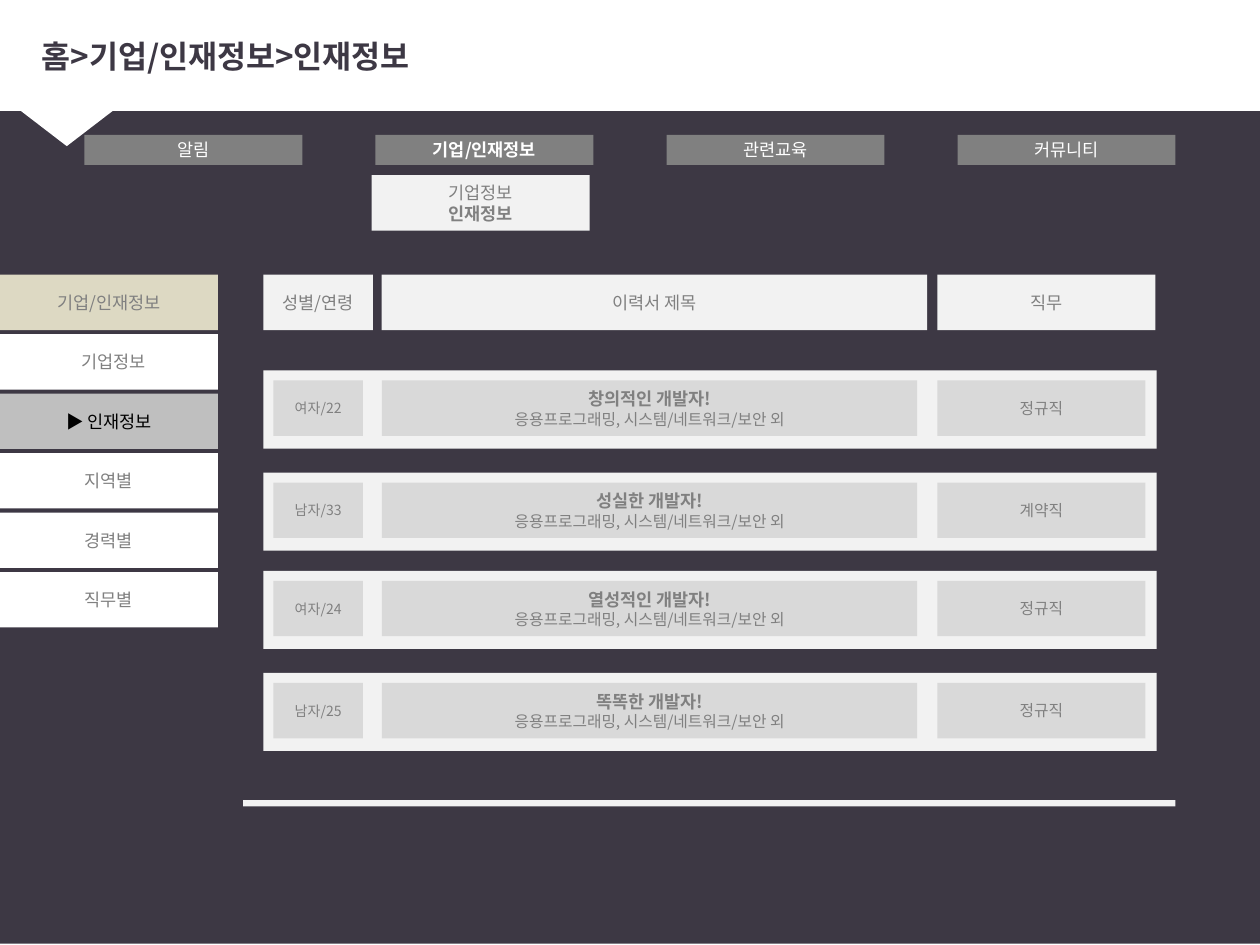
from lxml.etree import SubElement
from pptx import Presentation
from pptx.dml.color import RGBColor
from pptx.enum.shapes import MSO_SHAPE as SHAPE
from pptx.enum.text import MSO_ANCHOR as ANCHOR, PP_ALIGN as ALIGN
from pptx.oxml.ns import qn
from pptx.util import Inches, Pt

FONT = "Noto Sans CJK KR"
DARK = RGBColor(0x3D, 0x38, 0x44)
WHITE = RGBColor(0xFF, 0xFF, 0xFF)
BLACK = RGBColor(0, 0, 0)
GRAY = RGBColor(0x80, 0x80, 0x80)
MID = RGBColor(0xBF, 0xBF, 0xBF)
LIGHT = RGBColor(0xD9, 0xD9, 0xD9)
PALE = RGBColor(0xF2, 0xF2, 0xF2)
BEIGE = RGBColor(0xDD, 0xD9, 0xC3)

BREADCRUMB = "홈>기업/인재정보>인재정보"
TABS = [("알림", False), ("기업/인재정보", True), ("관련교육", False), ("커뮤니티", False)]
SUBMENU = [("기업정보", 10, False), ("인재정보", 10, True)]
SIDE_MENU = [
    ("기업/인재정보", BEIGE, GRAY, 0.1),
    ("기업정보", WHITE, GRAY, 0.17),
    ("▶ 인재정보", MID, BLACK, 0.1),
    ("지역별", WHITE, GRAY, 0.1),
    ("경력별", WHITE, GRAY, 0.1),
    ("직무별", WHITE, GRAY, 0.1),
]
COLUMNS = [
    ("성별/연령", 2.09, 0.87),
    ("이력서 제목", 3.03, 4.33),
    ("직무", 7.44, 1.73),
]
FIELDS = "응용프로그래밍, 시스템/네트워크/보안 외"
RESUMES = [
    (2.94, "여자/22", "창의적인 개발자!", "정규직"),
    (3.75, "남자/33", "성실한 개발자!", "계약직"),
    (4.53, "여자/24", "열성적인 개발자!", "정규직"),
    (5.34, "남자/25", "똑똑한 개발자!", "정규직"),
]
MENU_WIDTH, BOX_HEIGHT = 1.73, 0.44
TAB_STEP, MENU_STEP = 2.31, 0.472
MENU_TOP, CARD_PAD = 2.18, 0.08


def write(frame, lines, color=GRAY, align=ALIGN.CENTER, inset=0.1):
    frame.word_wrap = True
    frame.vertical_anchor = ANCHOR.MIDDLE
    frame.margin_left = Inches(inset)
    for index, (text, size, bold) in enumerate(lines):
        line = frame.add_paragraph() if index else frame.paragraphs[0]
        line.alignment = align
        run = line.add_run()
        run.text = text
        run.font.name = FONT
        run.font.size = Pt(size)
        run.font.bold = bold
        run.font.color.rgb = color
        SubElement(run.font._element, qn("a:ea"), typeface=FONT)


def box(shapes, left, top, width, height, fill, lines=(), kind=SHAPE.RECTANGLE, **text_format):
    shape = shapes.add_shape(kind, Inches(left), Inches(top), Inches(width), Inches(height))
    shape.shadow.inherit = False
    shape.fill.solid()
    shape.fill.fore_color.rgb = fill
    shape.line.fill.background()
    if lines:
        write(shape.text_frame, lines, **text_format)
    return shape


def add_header(slide):
    shapes = slide.shapes
    box(shapes, 0, -0.01, 10.14, 7.5, DARK)
    box(shapes, -0.03, -0.02, 10.17, 0.9, WHITE)
    pointer = box(shapes, -0.2, 0.6, 1.46, 0.56, WHITE, kind=SHAPE.ISOSCELES_TRIANGLE)
    pointer.rotation = 180
    title = shapes.title
    title.left, title.top = Inches(0.23), Inches(0.13)
    title.width, title.height = Inches(9.66), Inches(0.62)
    write(title.text_frame, [(BREADCRUMB, 18, True)], color=DARK, align=ALIGN.LEFT)
    pointer._element.addnext(title._element)


def add_menus(shapes):
    for index, (label, active) in enumerate(TABS):
        box(shapes, 0.67 + index * TAB_STEP, 1.07, MENU_WIDTH, 0.24, GRAY,
            [(label, 10, active)], color=WHITE)
    box(shapes, 2.95, 1.39, MENU_WIDTH, BOX_HEIGHT, PALE, SUBMENU)
    for index, (label, fill, color, inset) in enumerate(SIDE_MENU):
        box(shapes, 0, MENU_TOP + index * MENU_STEP, MENU_WIDTH, BOX_HEIGHT, fill,
            [(label, 10, False)], color=color, inset=inset)


def add_resumes(shapes):
    for heading, left, width in COLUMNS:
        box(shapes, left, MENU_TOP, width, BOX_HEIGHT, PALE, [(heading, 10, False)])
    for top, person, headline, job in RESUMES:
        card = shapes.add_group_shape().shapes
        box(card, 2.09, top, 7.09, 0.62, PALE)
        cells = [
            (2.17, 0.71, [(person, 8, False)]),
            (3.03, 4.25, [(headline, 10, True), (FIELDS, 9, False)]),
            (7.44, 1.65, [(job, 9, False)]),
        ]
        for left, width, lines in cells:
            box(card, left, top + CARD_PAD, width, BOX_HEIGHT, LIGHT, lines)
    box(shapes, 1.93, 6.35, 7.4, 0.05, PALE)


def main():
    deck = Presentation()
    deck.slide_width, deck.slide_height = Inches(10), Inches(7.5)
    slide = deck.slides.add_slide(deck.slide_layouts[5])
    add_header(slide)
    add_menus(slide.shapes)
    add_resumes(slide.shapes)
    deck.save("out.pptx")


if __name__ == "__main__":
    main()
